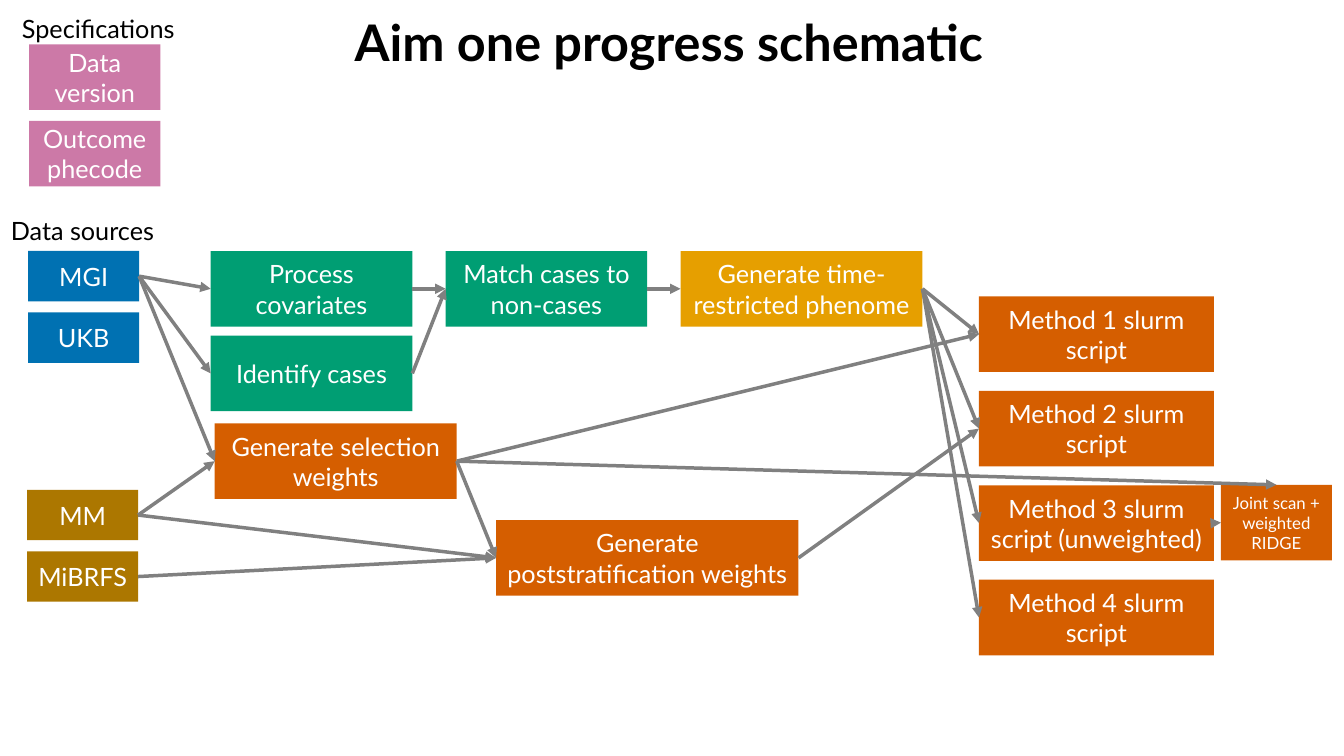
from lxml.etree import SubElement
from pptx import Presentation
from pptx.dml.color import RGBColor
from pptx.enum.shapes import MSO_CONNECTOR as Conn, MSO_SHAPE as Shape
from pptx.enum.text import MSO_ANCHOR as Anchor, MSO_AUTO_SIZE as Auto, PP_ALIGN as Align
from pptx.oxml.ns import qn
from pptx.util import Inches, Pt

COLORS = {
    "blue": "0071B2", "brown": "AC7700", "green": "009E73", "pink": "CC79A7",
    "gold": "E69F00", "orange": "D55E00", "gray": "808080",
    "white": "FFFFFF", "black": "000000",
}

# text, left, top, width, height, font format
LABELS = [
    ("Specifications", 0.12, 0.08, 1.73, 0.4, {"size": Pt(18)}),
    ("Data sources", 0.01, 2.09, 1.64, 0.4, {"size": Pt(18)}),
    ("Aim one progress schematic", 3.42, 0.06, 6.5, 0.71, {"size": Pt(36), "bold": True}),
]

# Stacks of equal boxes: color, left, top, width, height, step, {key: text}
STACKS = [
    ("pink", 0.29, 0.44, 1.3, 0.65, 0.76,
     {"version": "Data version", "outcome": "Outcome phecode"}),
    ("blue", 0.28, 2.49, 1.1, 0.5, 0.61, {"mgi": "MGI", "ukb": "UKB"}),
    ("brown", 0.27, 4.86, 1.1, 0.5, 0.61, {"mm": "MM", "brfs": "MiBRFS"}),
    ("green", 2.09, 2.49, 2, 0.75, 0.84,
     {"process": "Process covariates", "cases": "Identify cases"}),
    ("green", 4.42, 2.49, 2, 0.75, 0, {"match": "Match cases to non-cases"}),
    ("gold", 6.75, 2.49, 2.4, 0.75, 0, {"phenome": "Generate time-restricted phenome"}),
    ("orange", 2.13, 4.2, 2.4, 0.75, 0, {"select": "Generate selection weights"}),
    ("orange", 4.92, 5.16, 3, 0.75, 0, {"post": "Generate poststratification weights"}),
    ("orange", 9.71, 2.94, 2.33, 0.75, 0.937,
     {"one": "Method 1 slurm script", "two": "Method 2 slurm script",
      "three": "Method 3 slurm script (unweighted)", "four": "Method 4 slurm script"}),
    ("orange", 12.11, 4.81, 1.1, 0.75, 0, {"joint": "Joint scan + weighted RIDGE"}),
]
SMALL = {"joint": 12}

# Each source box and the boxes it feeds
FLOWS = {
    "mgi": ["process", "cases", "select"],
    "mm": ["select", "post"],
    "brfs": ["post"],
    "process": ["match"],
    "cases": ["match"],
    "match": ["phenome"],
    "post": ["two"],
    "phenome": ["one", "two", "three", "four"],
    "three": ["joint"],
    "select": ["post", "one", "joint"],
}
TOP, LEFT, RIGHT = 0, 1, 3
ENTRY = {("select", "joint"): TOP}


def write(frame, text, color, align, **font):
    """Put one styled paragraph in a text frame."""
    para = frame.paragraphs[0]
    para.alignment = align
    run = para.add_run()
    run.text = text
    run.font.color.rgb = RGBColor.from_string(COLORS[color])
    for name, value in {"name": "Lato", **font}.items():
        setattr(run.font, name, value)


def add_label(slide, text, left, top, width, height, font):
    """Add a one-line text box."""
    frame = slide.shapes.add_textbox(*map(Inches, (left, top, width, height))).text_frame
    frame.word_wrap = False
    frame.auto_size = Auto.SHAPE_TO_FIT_TEXT
    write(frame, text, "black", Align.LEFT, **font)


def add_box(slide, text, color, place, size):
    """Add a filled box with centered white text."""
    box = slide.shapes.add_shape(Shape.RECTANGLE, *map(Inches, place))
    box.shadow.inherit = False
    box.fill.solid()
    box.fill.fore_color.rgb = RGBColor.from_string(COLORS[color])
    box.line.fill.background()
    frame = box.text_frame
    frame.word_wrap = True
    frame.vertical_anchor = Anchor.MIDDLE
    write(frame, text, color="white", align=Align.CENTER, size=Pt(size))
    return box


def add_arrow(slide, start, end, site):
    """Join the right side of one box to a site of another."""
    arrow = slide.shapes.add_connector(Conn.STRAIGHT, 0, 0, 0, 0)
    arrow.begin_connect(start, RIGHT)
    arrow.end_connect(end, site)
    arrow.line.width = Pt(2.5)
    arrow.line.color.rgb = RGBColor.from_string(COLORS["gray"])
    SubElement(arrow.line._get_or_add_ln(), qn("a:tailEnd"), type="triangle")
    SubElement(arrow._element.spPr, qn("a:effectLst"))


deck = Presentation()
deck.slide_width, deck.slide_height = Inches(13.33), Inches(7.5)
slide = deck.slides.add_slide(deck.slide_layouts[6])

for label in LABELS:
    add_label(slide, *label)

boxes = {}
for color, left, top, width, height, step, items in STACKS:
    for row, (key, text) in enumerate(items.items()):
        place = (left, top + row * step, width, height)
        boxes[key] = add_box(slide, text, color, place, SMALL.get(key, 18))

for start, ends in FLOWS.items():
    for end in ends:
        add_arrow(slide, boxes[start], boxes[end], ENTRY.get((start, end), LEFT))

deck.save("out.pptx")
